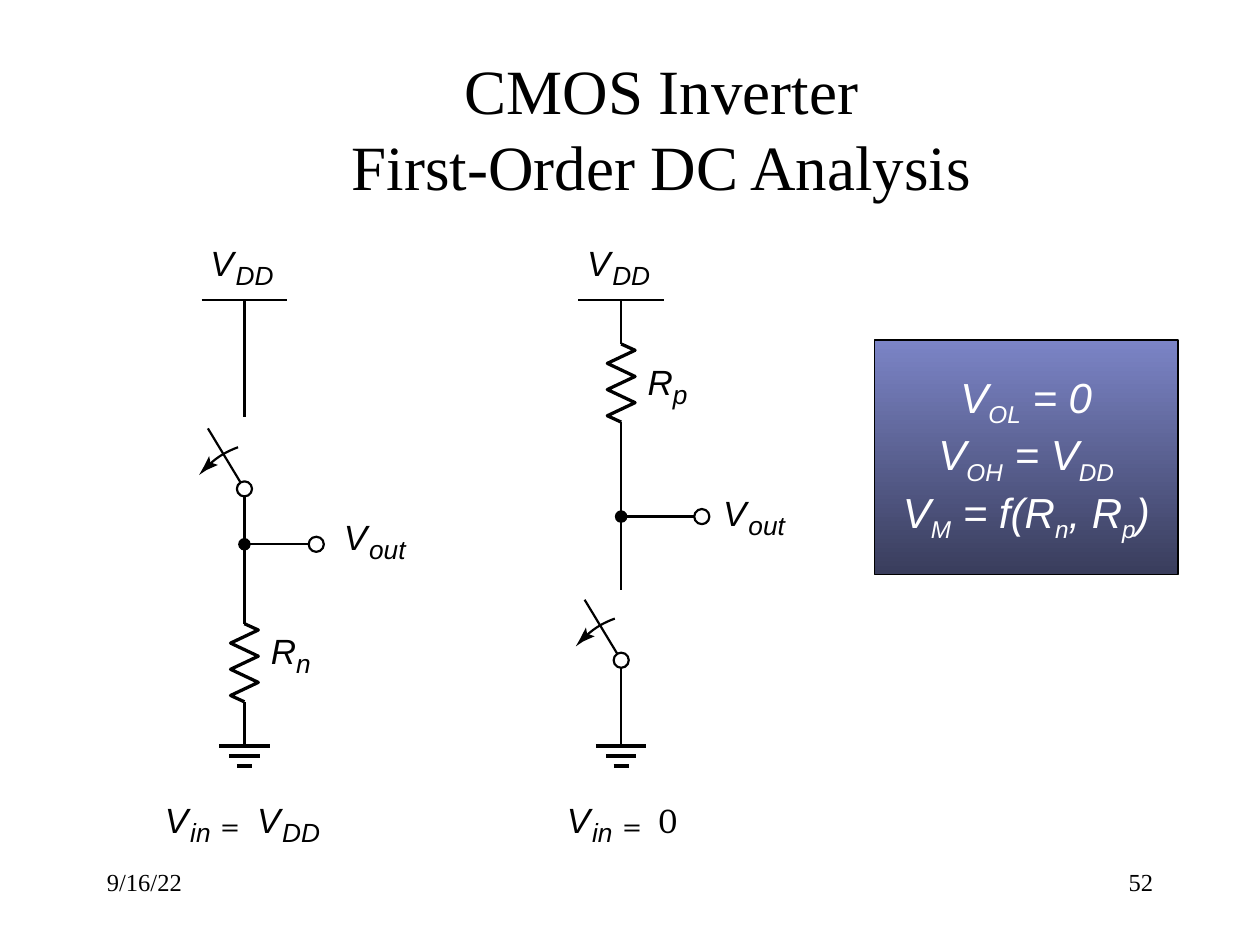
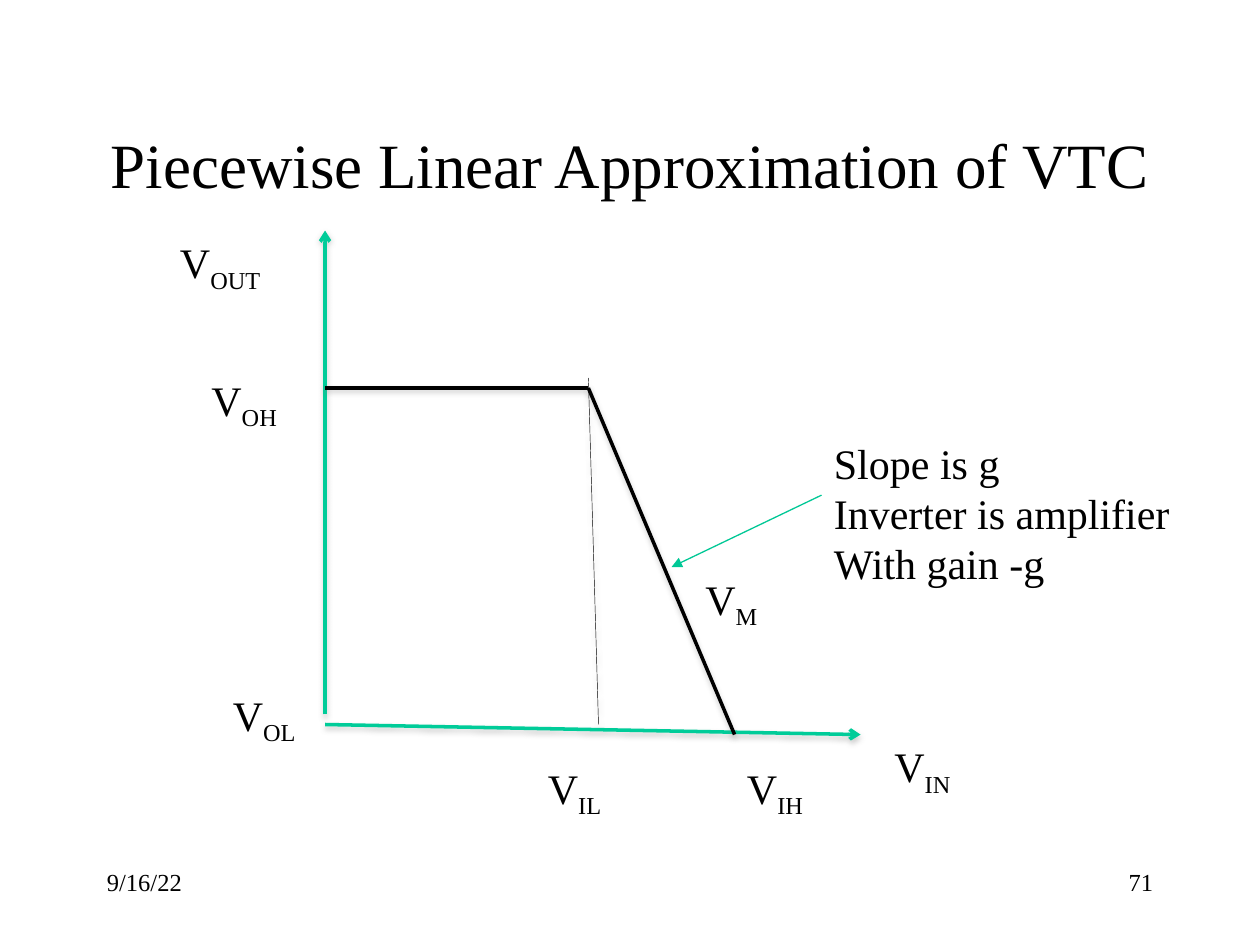
from dataclasses import dataclass

import pptx
import pptx.dml.color
import pptx.enum.shapes
import pptx.enum.text
import pptx.oxml
import pptx.oxml.ns
import pptx.util

Inches = pptx.util.Inches
Shapes = pptx.enum.shapes.MSO_SHAPE
Align = pptx.enum.text.PP_ALIGN
Anchor = pptx.enum.text.MSO_ANCHOR


@dataclass(frozen=True)
class Theme:
    black: str = "000000"
    white: str = "FFFFFF"
    axis: str = "00CC99"
    pointer: str = "00C896"
    box_top: str = "7B84C6"
    box_bottom: str = "393D5C"
    shadow: str = "808080"
    serif: str = "Times New Roman"
    sans: str = "Arial"
    math: str = "Cambria"
    title_size: int = 36
    body_size: int = 24
    symbol_size: int = 20
    subscript_size: int = 15
    footer_size: int = 14
    wire: float = 1.25
    heavy: float = 1.88


THEME = Theme()
SUBSCRIPT_WIDTHS = {"DD": 0.36, "in": 0.22, "out": 0.36, "n": 0.16, "p": 0.16}


def rgb(color):
    return pptx.dml.color.RGBColor.from_string(color)


# ---- Text ----
def format_run(run, size, font, color=THEME.black, italic=False):
    run.font.size = pptx.util.Pt(size)
    run.font.name = font
    run.font.color.rgb = rgb(color)
    run.font.italic = italic


def write_lines(text_frame, lines, size, font, color=THEME.black,
                italic=False, align=Align.LEFT):
    """Text between underscores becomes a subscript."""
    for index, line in enumerate(lines):
        paragraph = text_frame.paragraphs[0] if index == 0 else text_frame.add_paragraph()
        paragraph.alignment = align
        for position, part in enumerate(line.split("_")):
            if not part:
                continue
            run = paragraph.add_run()
            run.text = part
            format_run(run, size, font, color, italic)
            if position % 2:
                run._r.get_or_add_rPr().set("baseline", "-25000")


def add_text(slide, left, top, width, height, lines, size=THEME.body_size,
             align=Align.LEFT):
    box = slide.shapes.add_textbox(*map(Inches, (left, top, width, height)))
    box.text_frame.word_wrap = True
    write_lines(box.text_frame, lines, size, THEME.serif, align=align)


def add_symbol(slide, left, top, width, height, text, size, font, italic):
    box = slide.shapes.add_textbox(*map(Inches, (left, top, width, height)))
    frame = box.text_frame
    frame.margin_left = frame.margin_right = frame.margin_top = frame.margin_bottom = 0
    frame.word_wrap = True
    frame.text = text
    format_run(frame.paragraphs[0].runs[0], size, font, italic=italic)


def add_variable(slide, left, top, letter, subscript):
    add_symbol(slide, left, top, 0.24, 0.33, letter, THEME.symbol_size, THEME.sans, True)
    add_symbol(slide, left + 0.2, top + 0.14, SUBSCRIPT_WIDTHS[subscript], 0.25,
               subscript, THEME.subscript_size, THEME.sans, True)


def add_math(slide, left, top, text):
    add_symbol(slide, left, top, 0.2, 0.33, text, THEME.symbol_size, THEME.math, False)


# ---- Lines and outlines ----
def add_line(slide, start, end, color=THEME.black, width=THEME.wire,
             arrow=None, shadow=False):
    connector = slide.shapes.add_connector(
        pptx.enum.shapes.MSO_CONNECTOR.STRAIGHT, *map(Inches, (*start, *end)))
    connector.line.color.rgb = rgb(color)
    connector.line.width = pptx.util.Pt(width)
    properties = connector._element.spPr
    namespace = pptx.oxml.ns.nsdecls("a")
    if arrow:
        outline = properties.find(pptx.oxml.ns.qn("a:ln"))
        outline.append(pptx.oxml.parse_xml(f'<a:tailEnd {namespace} type="{arrow}"/>'))
    effect = ""
    if shadow:
        effect = (f'<a:outerShdw blurRad="{pptx.util.Pt(3.1)}" dist="{pptx.util.Pt(1.6)}" '
                  f'dir="5400000" rotWithShape="0"><a:srgbClr val="{THEME.shadow}">'
                  '<a:alpha val="38000"/></a:srgbClr></a:outerShdw>')
    properties.append(pptx.oxml.parse_xml(
        f"<a:effectLst {namespace}>{effect}</a:effectLst>"))


def add_outline(slide, points, width=THEME.wire, filled=False):
    corners = [(Inches(x), Inches(y)) for x, y in points]
    builder = slide.shapes.build_freeform(*corners[0])
    builder.add_line_segments(corners[1:], close=filled)
    shape = builder.convert_to_shape()
    shape.shadow.inherit = False
    if filled:
        shape.fill.solid()
        shape.fill.fore_color.rgb = rgb(THEME.black)
        shape.line.fill.background()
    else:
        shape.fill.background()
        shape.line.color.rgb = rgb(THEME.black)
        shape.line.width = pptx.util.Pt(width)


def add_circle(slide, x, y, diameter, color, outlined):
    corner = (x - diameter / 2, y - diameter / 2)
    circle = slide.shapes.add_shape(
        Shapes.OVAL, *map(Inches, (*corner, diameter, diameter)))
    circle.shadow.inherit = False
    circle.fill.solid()
    circle.fill.fore_color.rgb = rgb(color)
    if outlined:
        circle.line.color.rgb = rgb(THEME.black)
        circle.line.width = pptx.util.Pt(THEME.wire)
    else:
        circle.line.fill.background()


# ---- Circuit parts, placed on a vertical axis at x ----
def add_wire(slide, x, top, bottom):
    add_line(slide, (x, top), (x, bottom))


def add_supply(slide, x):
    add_line(slide, (x - 0.34, 2.38), (x + 0.34, 2.38))
    add_variable(slide, x - 0.27, 1.92, "V", "DD")


def add_ground(slide, x):
    for step, half_width in enumerate((0.2, 0.12, 0.06)):
        y = 5.92 + 0.08 * step
        add_line(slide, (x - half_width, y), (x + half_width, y), width=THEME.heavy)


def add_resistor(slide, x, top, subscript, label_top):
    teeth = [(x + 0.11 * (-1) ** step, top + 0.05 + 0.104 * step) for step in range(6)]
    add_outline(slide, [(x, top), *teeth, (x, top + 0.62)], THEME.heavy)
    add_variable(slide, x + 0.21, label_top, "R", subscript)


def add_switch(slide, x, y):
    """Open switch with its contact at (x, y) and an arrow across the arm."""
    add_line(slide, (x, y), (x - 0.29, y - 0.48))
    controls = [(-0.05, -0.33), (-0.13, -0.3), (-0.21, -0.26), (-0.28, -0.19)]
    arc = []
    for step in range(9):
        t = step / 8
        weights = ((1 - t) ** 3, 3 * t * (1 - t) ** 2, 3 * t * t * (1 - t), t ** 3)
        arc.append((x + sum(w * c[0] for w, c in zip(weights, controls)),
                    y + sum(w * c[1] for w, c in zip(weights, controls))))
    add_outline(slide, arc)
    arrowhead = [(-0.27, -0.21), (-0.21, -0.19), (-0.3, -0.15), (-0.36, -0.11),
                 (-0.32, -0.18), (-0.28, -0.26)]
    add_outline(slide, [(x + dx, y + dy) for dx, dy in arrowhead], filled=True)
    add_circle(slide, x, y, 0.12, THEME.white, True)


def add_output(slide, x, y, terminal_x, label_left, label_top):
    add_line(slide, (x, y), (terminal_x - 0.06, y))
    add_circle(slide, x, y, 0.1, THEME.black, False)
    add_circle(slide, terminal_x, y, 0.12, THEME.white, True)
    add_variable(slide, label_left, label_top, "V", "out")


def add_result_box(slide, lines):
    box = slide.shapes.add_shape(Shapes.RECTANGLE, *map(Inches, (6.94, 2.7, 2.41, 1.86)))
    box.shadow.inherit = False
    box.fill.gradient()
    box.fill.gradient_angle = 270
    for stop, color in zip(box.fill.gradient_stops, (THEME.box_top, THEME.box_bottom)):
        stop.color.rgb = rgb(color)
    box.line.color.rgb = rgb(THEME.black)
    box.line.width = pptx.util.Pt(1)
    box.text_frame.word_wrap = False
    box.text_frame.vertical_anchor = Anchor.MIDDLE
    write_lines(box.text_frame, lines, THEME.body_size, THEME.sans, THEME.white,
                italic=True, align=Align.CENTER)


# ---- Slides ----
def start_slide(presentation, title_lines, title_place, page):
    slide = presentation.slides.add_slide(presentation.slide_layouts[5])
    title = slide.shapes.title
    title.left, title.top, title.width, title.height = map(Inches, title_place)
    frame = title.text_frame
    frame.word_wrap = True
    frame.auto_size = pptx.enum.text.MSO_AUTO_SIZE.NONE
    frame.vertical_anchor = Anchor.MIDDLE
    write_lines(frame, title_lines, THEME.title_size, THEME.serif, align=Align.CENTER)
    add_text(slide, 0.75, 6.83, 2.08, 0.5, ["9/16/22"], THEME.footer_size)
    add_text(slide, 7.17, 6.83, 2.08, 0.5, [page], THEME.footer_size, Align.RIGHT)
    return slide


def build_inverter_slide(presentation):
    slide = start_slide(presentation, ["CMOS Inverter", "First-Order DC Analysis"],
                        (0.5, 0.55, 9.5, 0.92), "52")
    add_result_box(slide, ["V_OL_ = 0", "V_OH_ = V_DD_", "V_M_ = f(R_n_, R_p_)"])
    high_x, low_x = 1.94, 4.93
    for x in (high_x, low_x):
        add_supply(slide, x)
        add_ground(slide, x)

    # High input: the output is pulled down through Rn
    for top, bottom in ((2.38, 3.31), (3.88, 4.95), (5.57, 5.92)):
        add_wire(slide, high_x, top, bottom)
    add_switch(slide, high_x, 3.88)
    add_output(slide, high_x, 4.32, 2.51, 2.73, 4.09)
    add_resistor(slide, high_x, 4.95, "n", 5)
    add_variable(slide, 1.31, 6.34, "V", "in")
    add_math(slide, 1.75, 6.38, "=")
    add_variable(slide, 2.04, 6.34, "V", "DD")

    # Low input: the output is pulled up through Rp
    for top, bottom in ((2.38, 2.73), (3.35, 4.68), (5.24, 5.92)):
        add_wire(slide, low_x, top, bottom)
    add_resistor(slide, low_x, 2.73, "p", 2.86)
    add_output(slide, low_x, 4.1, 5.57, 5.74, 3.9)
    add_switch(slide, low_x, 5.24)
    add_variable(slide, 4.5, 6.34, "V", "in")
    add_math(slide, 4.94, 6.38, "=")
    add_math(slide, 5.23, 6.34, "0")


def build_transfer_slide(presentation):
    slide = start_slide(presentation, ["Piecewise Linear Approximation of VTC"],
                        (0.75, 0.67, 8.5, 1.25), "71")
    # Axes
    for start, end in (((2.58, 5.75), (6.83, 5.83)), ((2.58, 5.67), (2.58, 1.83))):
        add_line(slide, start, end, THEME.axis, 2, "arrow", shadow=True)
    # Transfer curve and its guide line
    knee, foot = (4.67, 3.08), (5.83, 5.83)
    add_line(slide, (2.58, 3.08), knee, width=2, shadow=True)
    add_line(slide, knee, foot, width=2, shadow=True)
    add_line(slide, (4.67, 3), (4.75, 5.75), width=0.25, shadow=True)
    # Voltage labels
    for left, top, width, label in (
            (1.33, 1.83, 1.08, "V_OUT_"), (7, 5.83, 0.75, "V_IN_"),
            (1.58, 2.92, 1, "V_OH_"), (1.75, 5.42, 0.8, "V_OL_"),
            (4.25, 6, 0.75, "V_IL_"), (5.83, 6, 0.75, "V_IH_"),
            (5.5, 4.5, 0.7, "V_M_")):
        add_text(slide, left, top, width, 0.51, [label])
    # Slope remark
    add_text(slide, 6.52, 3.42, 3, 1.31,
             ["Slope is g", "Inverter is amplifier", "With gain -g"])
    add_line(slide, (6.52, 3.93), (5.33, 4.5), THEME.pointer, 0.75, "triangle")


def main():
    presentation = pptx.Presentation()
    presentation.slide_width = Inches(10)
    presentation.slide_height = Inches(7.5)
    build_inverter_slide(presentation)
    build_transfer_slide(presentation)
    presentation.save("out.pptx")


if __name__ == "__main__":
    main()
